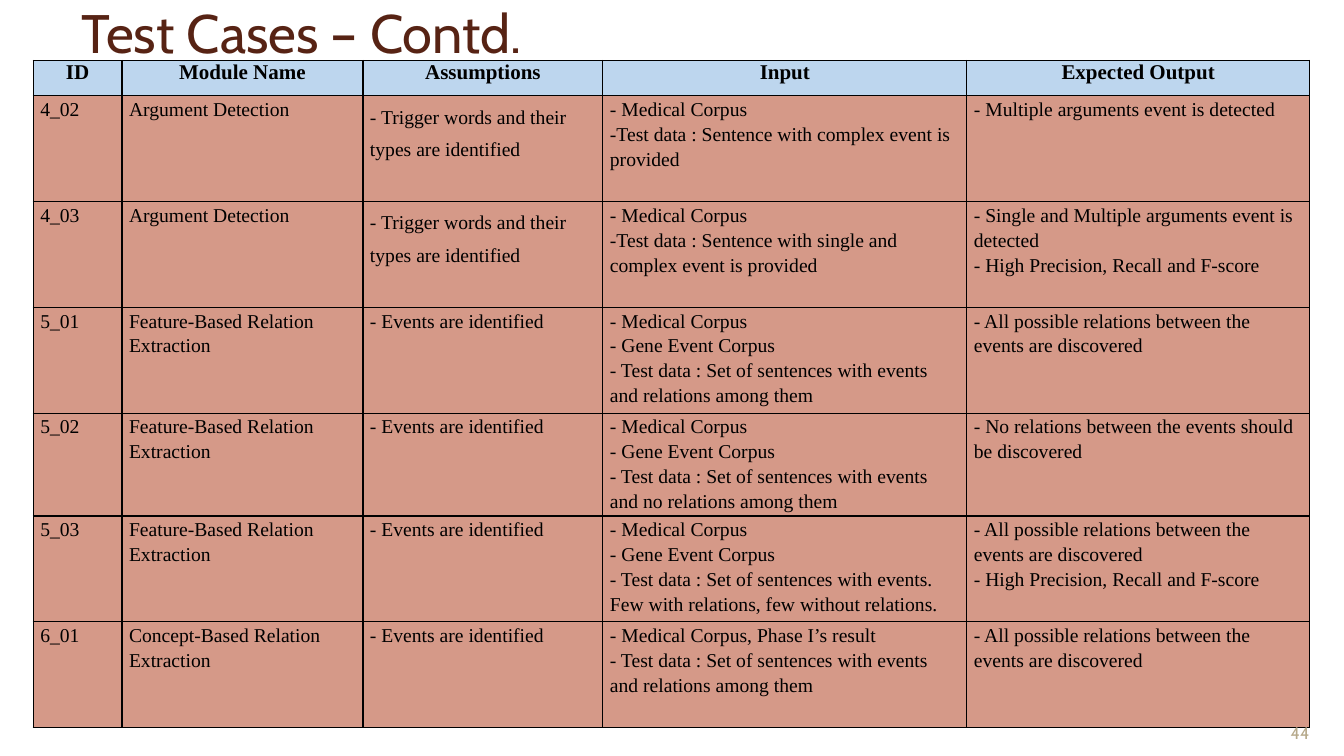
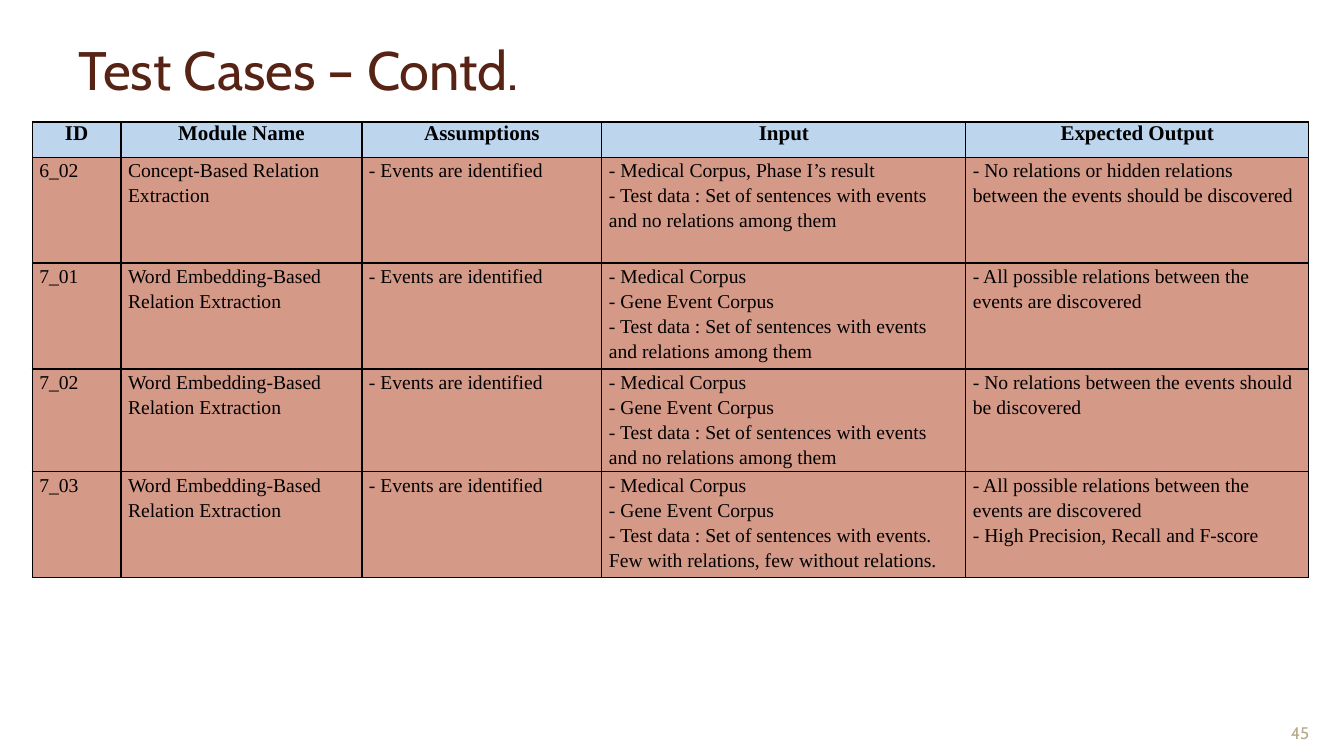
from lxml import etree
from pptx import Presentation
from pptx.dml.color import RGBColor
from pptx.enum.text import MSO_ANCHOR, MSO_AUTO_SIZE, PP_ALIGN
from pptx.oxml.ns import qn
from pptx.util import Emu, Pt

CENTER, LEFT = PP_ALIGN.CENTER, PP_ALIGN.LEFT
MIDDLE, BOTTOM = MSO_ANCHOR.MIDDLE, MSO_ANCHOR.BOTTOM
NO_FIT = MSO_AUTO_SIZE.NONE
TITLE_ONLY = 5

# Shared look; lengths are px, 100 to the inch
EMU_PER_PX = 9144
SLIDE_SIZE = (1333, 750)
HEADING_FONT, TABLE_FONT = "Cabin", "Times New Roman"
BLACK, BROWN, TAN = "000000", "572314", "B6A98A"
HEADER_FILL, BODY_FILL = "BDD6EE", "D59988"
TITLE_TEXT = "Test Cases – Contd."
TITLE_SIZE = (1170, 64)
NUMBER_BOX = (1256, 690, 67, 52)
COLUMN_WIDTHS = (88, 239, 238, 361, 340)
HEADER_HEIGHT, ROW_HEIGHT, SHORT_ROW_HEIGHT = 35, 105, 102
CELL_MARGIN = 7
BODY_SPACING, WIDE_SPACING = 1.15, 1.5

# Wording that recurs in the test cases
HEADERS = ("ID", "Module Name", "Assumptions", "Input", "Expected Output")
ARGUMENT = "Argument Detection"
FEATURE = "Feature-Based Relation Extraction"
CONCEPT = "Concept-Based Relation Extraction"
EMBEDDING = "Word Embedding-Based Relation Extraction"
TRIGGERS = "- Trigger words and their types are identified"
EVENTS = "- Events are identified"
MEDICAL = "- Medical Corpus"
CORPORA = MEDICAL + "\n- Gene Event Corpus"
PHASE_RESULT = MEDICAL + ", Phase I’s result"
RELATED = "\n- Test data : Set of sentences with events and relations among them"
UNRELATED = "\n- Test data : Set of sentences with events and no relations among them"
MIXED = ("\n- Test data : Set of sentences with events. "
         "Few with relations, few without relations.")
ALL_FOUND = "- All possible relations between the events are discovered"
NONE_FOUND = "- No relations between the events should be discovered"
HIGH_SCORES = "\n- High Precision, Recall and F-score"


def relation_cases(group, module):
    """The three cases that every corpus-based relation module goes through."""
    return [
        (f"{group}_01", module, EVENTS, CORPORA + RELATED, ALL_FOUND),
        (f"{group}_02", module, EVENTS, CORPORA + UNRELATED, NONE_FOUND),
        (f"{group}_03", module, EVENTS, CORPORA + MIXED, ALL_FOUND + HIGH_SCORES),
    ]


FIRST_CASES = [
    ("4_02", ARGUMENT, TRIGGERS,
     MEDICAL + "\n-Test data : Sentence with complex event is provided",
     "- Multiple arguments event is detected"),
    ("4_03", ARGUMENT, TRIGGERS,
     MEDICAL + "\n-Test data : Sentence with single and complex event is provided",
     "- Single and Multiple arguments event is detected" + HIGH_SCORES),
    *relation_cases(5, FEATURE),
    ("6_01", CONCEPT, EVENTS, PHASE_RESULT + RELATED, ALL_FOUND),
]
SECOND_CASES = [
    ("6_02", CONCEPT, EVENTS, PHASE_RESULT + UNRELATED,
     "- No relations or hidden relations between the events should be discovered"),
    *relation_cases(7, EMBEDDING),
]


def px(length):
    return Emu(length * EMU_PER_PX)


def color(value):
    return RGBColor.from_string(value)


def write(frame, text, *, size, font, ink, bold=False, align=LEFT, spacing=1.0):
    """Put each line of text in its own formatted paragraph."""
    for index, line in enumerate(text.split("\n")):
        para = frame.add_paragraph() if index else frame.paragraphs[0]
        para.alignment = align
        para.line_spacing = spacing
        span = para.add_run()
        span.text = line
        span.font.size = Pt(size)
        span.font.name = font
        span.font.bold = bold
        span.font.color.rgb = color(ink)


def add_title(page, left, top):
    title = page.shapes.title
    title.left, title.top = px(left), px(top)
    title.width, title.height = map(px, TITLE_SIZE)
    frame = title.text_frame
    frame.auto_size = NO_FIT
    frame.vertical_anchor = MIDDLE
    write(frame, TITLE_TEXT, size=38.7, font=HEADING_FONT, ink=BROWN)


def add_page_number(page, number):
    box = page.shapes.add_textbox(*map(px, NUMBER_BOX))
    frame = box.text_frame
    frame.word_wrap = True
    frame.vertical_anchor = BOTTOM
    write(frame, str(number), size=12, font=HEADING_FONT, ink=TAN, align=CENTER)


def draw_borders(cell):
    properties = cell._tc.get_or_add_tcPr()
    for side in ("a:lnL", "a:lnR", "a:lnT", "a:lnB"):
        line = etree.SubElement(properties, qn(side), w=str(Pt(1)))
        fill = etree.SubElement(line, qn("a:solidFill"))
        etree.SubElement(fill, qn("a:srgbClr"), val=BLACK)


def fill_cell(cell, text, fill, **text_format):
    draw_borders(cell)
    cell.fill.solid()
    cell.fill.fore_color.rgb = color(fill)
    cell.margin_left = cell.margin_right = px(CELL_MARGIN)
    cell.margin_top = cell.margin_bottom = 0
    write(cell.text_frame, text, font=TABLE_FONT, ink=BLACK, **text_format)


def row_height(case):
    is_short = CORPORA + UNRELATED in case
    return SHORT_ROW_HEIGHT if is_short else ROW_HEIGHT


def add_case_table(page, left, top, cases):
    heights = [HEADER_HEIGHT, *map(row_height, cases)]
    table = page.shapes.add_table(
        len(heights), len(HEADERS), px(left), px(top),
        px(sum(COLUMN_WIDTHS)), px(sum(heights))).table
    for column, width in zip(table.columns, COLUMN_WIDTHS):
        column.width = px(width)
    for row, height in zip(table.rows, heights):
        row.height = px(height)

    # Header row, then one row per case
    for column, text in enumerate(HEADERS):
        fill_cell(table.cell(0, column), text, HEADER_FILL,
                  size=15, bold=True, align=CENTER)
    for row, case in enumerate(cases, start=1):
        for column, text in enumerate(case):
            spacing = WIDE_SPACING if text == TRIGGERS else BODY_SPACING
            fill_cell(table.cell(row, column), text, BODY_FILL,
                      size=14, spacing=spacing)


def add_case_page(deck, number, title_at, table_at, cases):
    page = deck.slides.add_slide(deck.slide_layouts[TITLE_ONLY])
    add_title(page, *title_at)
    add_case_table(page, *table_at, cases)
    add_page_number(page, number)


def main():
    deck = Presentation()
    deck.slide_width, deck.slide_height = map(px, SLIDE_SIZE)
    add_case_page(deck, 44, (71, 0), (33, 60), FIRST_CASES)
    add_case_page(deck, 45, (68, 36), (32, 121), SECOND_CASES)
    deck.save("out.pptx")


if __name__ == "__main__":
    main()
